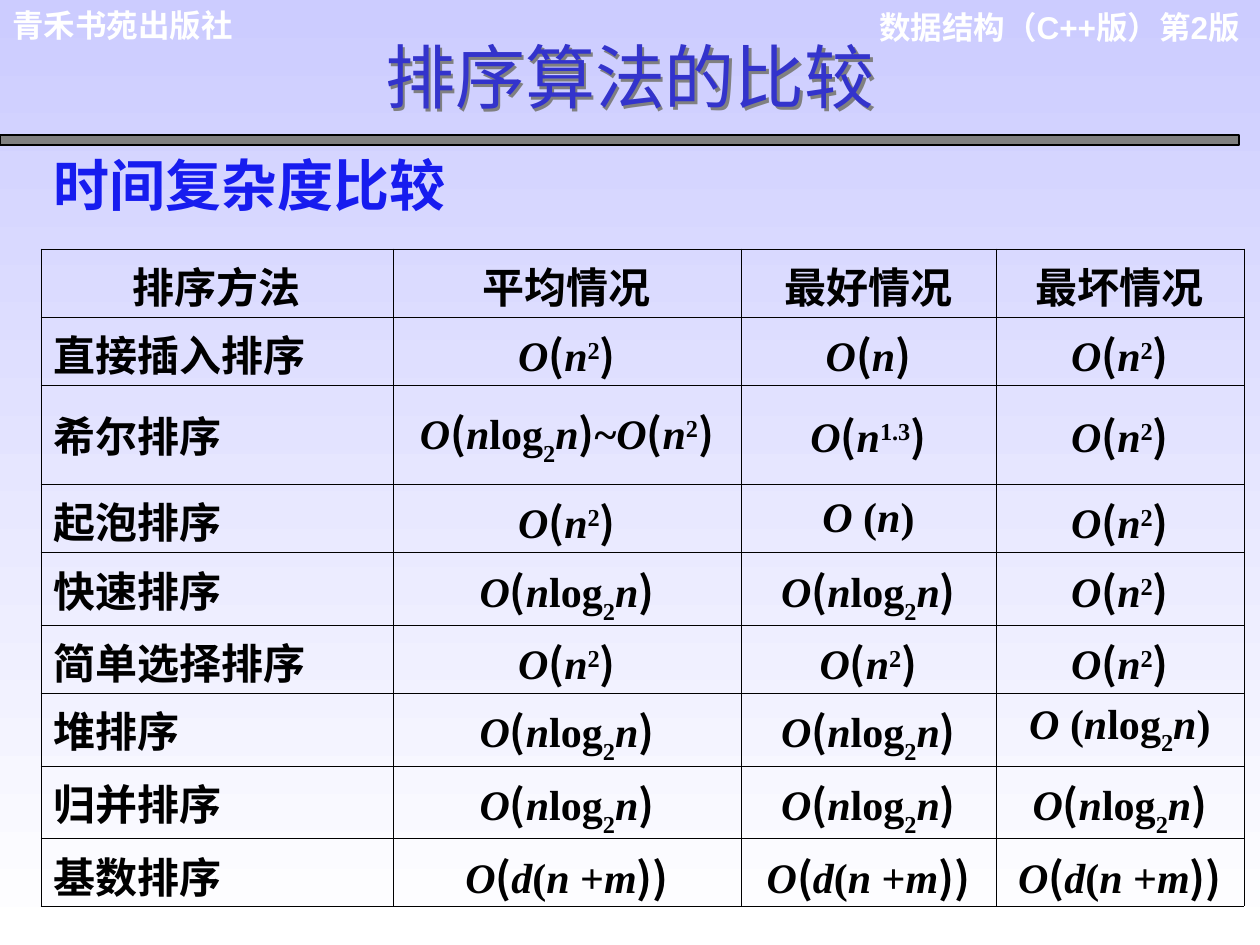
from pptx import Presentation
from pptx.dml.color import RGBColor
from pptx.enum.shapes import MSO_SHAPE
from pptx.enum.text import MSO_ANCHOR, PP_ALIGN
from pptx.oxml import parse_xml
from pptx.oxml.ns import nsdecls
from pptx.util import Emu, Pt

PX = 914400 // 126
LEFT, CENTER, RIGHT = PP_ALIGN.LEFT, PP_ALIGN.CENTER, PP_ALIGN.RIGHT
MIDDLE, BOTTOM = MSO_ANCHOR.MIDDLE, MSO_ANCHOR.BOTTOM
RECTANGLE = MSO_SHAPE.RECTANGLE

COLORS = {
    "sky": "CCCCFF", "white": "FFFFFF", "black": "000000",
    "bar": "808080", "heading": "171CEF", "title": "3333CC",
}
SERIF, SANS, CJK = "Times New Roman", "Arial", "Noto Sans CJK SC"

# Formula pieces: [ ] are CJK parentheses, ^ raises and _ lowers a piece
SQUARE = "O|[|n|^2|]"
LINEAR = "O|[|n|]"
N_LOG_N = "O|[|n|log|_2|n|]"
RADIX = "O|[|d|(|n| +|m|]]"
VARIABLES = {"O", "n", "d", "m"}
BRACKETS = str.maketrans("[]", "()")
SHIFTS = {"^": "30000", "_": "-30000"}

HEADERS = ["排序方法", "平均情况", "最好情况", "最坏情况"]
METHODS = [
    ("直接插入排序", SQUARE, LINEAR, SQUARE),
    ("希尔排序", f"{N_LOG_N}|~|{SQUARE}", "O|[|n|^1.3|]", SQUARE),
    ("起泡排序", SQUARE, "O |(|n|)", SQUARE),
    ("快速排序", N_LOG_N, N_LOG_N, SQUARE),
    ("简单选择排序", SQUARE, SQUARE, SQUARE),
    ("堆排序", N_LOG_N, N_LOG_N, "O |(|n|log|_2|n|)"),
    ("归并排序", N_LOG_N, N_LOG_N, N_LOG_N),
    ("基数排序", RADIX, RADIX, RADIX),
]
COLUMN_WIDTHS = [352, 348, 255, 248]
ROW_HEIGHTS = [68, 68, 99, 69, 72, 68, 73, 72, 68]


def px(*lengths):
    return [Emu(length * PX) for length in lengths]


def rgb(color):
    return RGBColor.from_string(COLORS[color])


def style_paragraph(paragraph, size, color, name, bold=True, align=LEFT):
    paragraph.alignment = align
    font = paragraph.font
    font.size, font.bold, font.name = Pt(size), bold, name
    font.color.rgb = rgb(color)
    font._element.append(parse_xml(f'<a:ea {nsdecls("a")} typeface="{CJK}"/>'))


def paint_background(slide):
    fill = slide.background.fill
    fill.gradient()
    fill.gradient_angle = 270
    for stop, color in zip(fill.gradient_stops, ("sky", "white")):
        stop.color.rgb = rgb(color)


def add_label(slide, text, box, size, color, name, align=LEFT):
    frame = slide.shapes.add_textbox(*px(*box)).text_frame
    frame.word_wrap = True
    paragraph = frame.paragraphs[0]
    paragraph.text = text
    style_paragraph(paragraph, size, color, name, align=align)


def add_bar(slide):
    bar = slide.shapes.add_shape(RECTANGLE, *px(0, 135, 1239, 10))
    bar.shadow.inherit = False
    bar.fill.solid()
    bar.fill.fore_color.rgb = rgb("bar")
    bar.line.color.rgb = rgb("black")
    bar.line.width = Pt(0.75)


def set_title(slide, text):
    title = slide.shapes.title
    title.left, title.top, title.width, title.height = px(0, 32, 1260, 92)
    title.fill.background()
    # Grey shadow, which falls from the letters of an unfilled box
    title._element.spPr.append(parse_xml(
        f'<a:effectLst {nsdecls("a")}><a:outerShdw dist="25400" dir="2700000">'
        f'<a:srgbClr val="{COLORS["bar"]}"/></a:outerShdw></a:effectLst>'))
    frame = title.text_frame
    frame.vertical_anchor = BOTTOM
    paragraph = frame.paragraphs[0]
    paragraph.text = text
    style_paragraph(paragraph, 40, "title", CJK, bold=False, align=CENTER)


def write_formula(paragraph, formula):
    for piece in formula.split("|"):
        run = paragraph.add_run()
        run.text = piece.lstrip("^_").translate(BRACKETS)
        run.font.italic = piece.strip() in VARIABLES
        run.font.name = CJK if piece[0] in "[]" else SERIF
        if piece[0] in SHIFTS:
            run.font._element.set("baseline", SHIFTS[piece[0]])


def add_borders(cell):
    properties = cell._tc.get_or_add_tcPr()
    for index, side in enumerate(("lnL", "lnR", "lnT", "lnB")):
        properties.insert(index, parse_xml(
            f'<a:{side} {nsdecls("a")} w="{Pt(0.45)}"><a:solidFill>'
            f'<a:srgbClr val="{COLORS["black"]}"/></a:solidFill></a:{side}>'))


def add_comparison(slide):
    rows = [HEADERS, *METHODS]
    table = slide.shapes.add_table(
        len(rows), len(HEADERS),
        *px(41, 249, sum(COLUMN_WIDTHS), sum(ROW_HEIGHTS))).table
    table.first_row = table.horz_banding = False
    for column, width in zip(table.columns, px(*COLUMN_WIDTHS)):
        column.width = width
    for row, height in zip(table.rows, px(*ROW_HEIGHTS)):
        row.height = height
    for r, texts in enumerate(rows):
        for c, text in enumerate(texts):
            cell = table.cell(r, c)
            cell.vertical_anchor = MIDDLE
            cell.fill.background()
            add_borders(cell)
            paragraph = cell.text_frame.paragraphs[0]
            if r and c:
                write_formula(paragraph, text)
            else:
                paragraph.text = text
            style_paragraph(paragraph, 24, "black", SERIF,
                            align=LEFT if r and not c else CENTER)


def main():
    deck = Presentation()
    deck.slide_width, deck.slide_height = px(1260, 945)
    slide = deck.slides.add_slide(deck.slide_layouts[5])
    paint_background(slide)
    # Running header and rule
    add_label(slide, "数据结构（C++版）第2版", (853, 2, 399, 88),
              18, "white", SANS, RIGHT)
    add_label(slide, "青禾书苑出版社", (0, 0, 341, 50), 18, "white", SANS)
    add_bar(slide)
    # Title, heading and comparison table
    set_title(slide, "排序算法的比较")
    add_label(slide, "时间复杂度比较", (41, 144, 522, 81), 32, "heading", SERIF)
    add_comparison(slide)
    deck.save("out.pptx")


if __name__ == "__main__":
    main()
